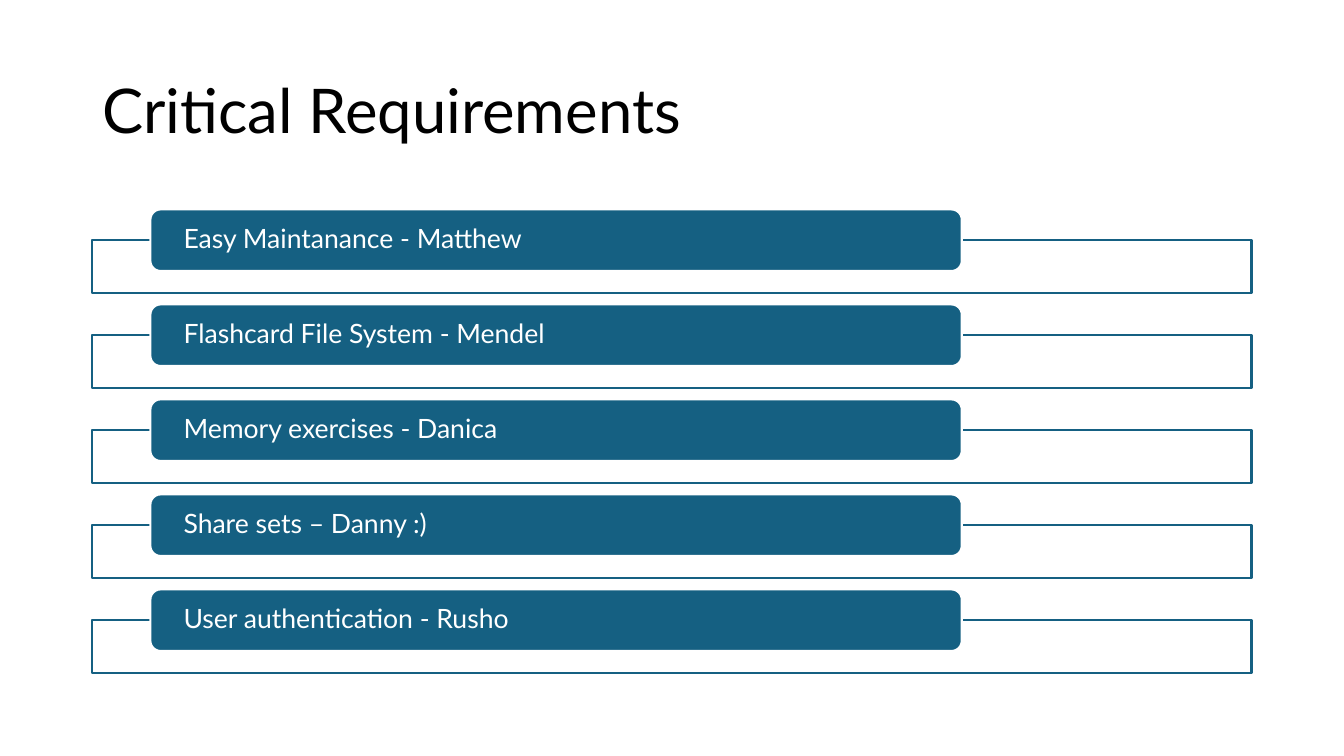
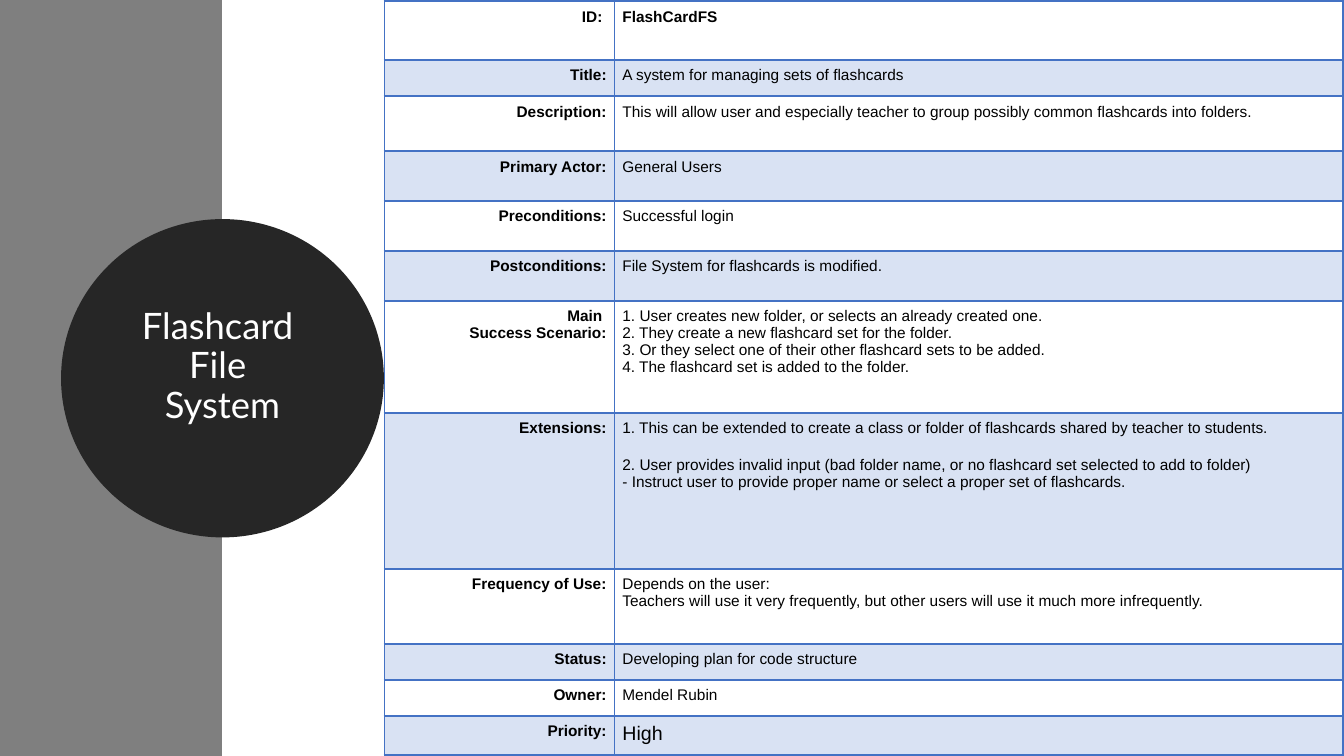
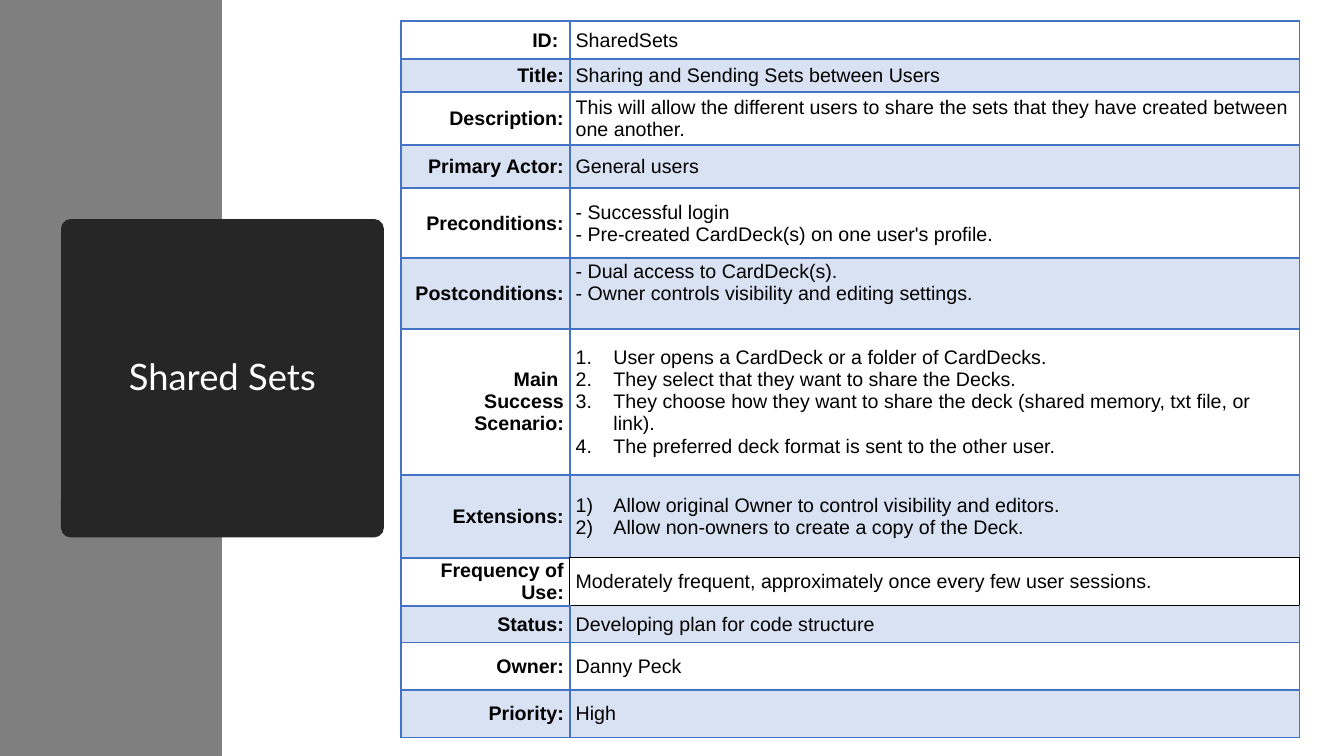
from lxml.etree import SubElement
from pptx import Presentation
from pptx.dml.color import RGBColor
from pptx.enum.shapes import MSO_SHAPE
from pptx.enum.text import MSO_ANCHOR, PP_ALIGN
from pptx.oxml.ns import qn
from pptx.util import Pt

BLACK, WHITE = "000000", "FFFFFF"
TEAL, GRAY, CHARCOAL = "156082", "7F7F7F", "262626"
TABLE_BLUE, TABLE_BAND = "4472C4", "D9E2F3"
HEADING_FONT, TABLE_FONT = "Lato", "Arial"

REQUIREMENTS = [
    "Easy Maintanance - Matthew",
    "Flashcard File System - Mendel",
    "Memory exercises - Danica",
    "Share sets – Danny :)",
    "User authentication - Rusho",
]

# Rows: label, height, paragraphs, options
FILE_SYSTEM = {
    "title": "Flashcard \nFile \nSystem",
    "badge": MSO_SHAPE.OVAL,
    "title_lift": 16,
    "at": (274.6, 1),
    "columns": (164.4, 520.4),
    "size": 11,
    "margins": (5.6, 5, 5.6, 5),
    "anchor": MSO_ANCHOR.TOP,
    "rows": [
        ("ID: ", 41.8, ["FlashCardFS"], {"bold": True}),
        ("Title:", 25.9, ["A system for managing sets of flashcards"], {}),
        ("Description:", 39.4, ["This will allow user and especially teacher to group "
                                "possibly common flashcards into folders."], {}),
        ("Primary Actor:", 35.6, ["General Users"], {}),
        ("Preconditions:", 35.6, ["Successful login"], {}),
        ("Postconditions:", 35.6, ["File System for flashcards is modified."], {}),
        ("Main \nSuccess Scenario:", 80.2, [
            "1. User creates new folder, or selects an already created one.",
            "2. They create a new flashcard set for the folder.",
            "3. Or they select one of their other flashcard sets to be added.",
            "4. The flashcard set is added to the folder."], {}),
        ("Extensions:", 111.4, [
            "1. This can be extended to create a class or folder of flashcards "
            "shared by teacher to students.",
            "2. User provides invalid input (bad folder name, or no flashcard set "
            "selected to add to folder)\n"
            "- Instruct user to provide proper name or select a proper set of flashcards."],
            {"gap": 13.7}),
        ("Frequency of Use:", 53.6, [
            "Depends on the user:",
            "Teachers will use it very frequently, but other users will use it "
            "much more infrequently."], {}),
        ("Status:", 25.8, ["Developing plan for code structure"], {}),
        ("Owner:", 25.8, ["Mendel Rubin"], {}),
        ("Priority:", 28, ["High"], {"size": 14}),
    ],
}

SHARED_SETS = {
    "title": "Shared Sets",
    "badge": MSO_SHAPE.ROUNDED_RECTANGLE,
    "title_lift": 0,
    "at": (286.6, 15.2),
    "columns": (120.4, 521.2),
    "size": 14,
    "margins": (4.2, 0.7, 4.2, 0),
    "anchor": MSO_ANCHOR.MIDDLE,
    "framed_row": 8,
    "rows": [
        ("ID: ", 27, ["SharedSets"], {}),
        ("Title:", 23.4, ["Sharing and Sending Sets between Users"], {}),
        ("Description:", 37.8, ["This will allow the different users to share the sets "
                                "that they have created between one another."], {}),
        ("Primary Actor:", 30.8, ["General users"], {}),
        ("Preconditions:", 50, ["- Successful login",
                                "- Pre-created CardDeck(s) on one user's profile."], {}),
        ("Postconditions:", 50.6, ["- Dual access to CardDeck(s).",
                                   "- Owner controls visibility and editing settings."],
         {"lift": 16}),
        ("Main \nSuccess Scenario:", 104.4, [
            "User opens a CardDeck or a folder of CardDecks.",
            "They select that they want to share the Decks.",
            "They choose how they want to share the deck (shared memory, txt file, or link).",
            "The preferred deck format is sent to the other user."],
            {"numbering": "arabicPeriod"}),
        ("Extensions:", 59.2, ["Allow original Owner to control visibility and editors.",
                               "Allow non-owners to create a copy of the Deck."],
         {"numbering": "arabicParenR"}),
        ("Frequency of Use:", 34.4,
         ["Moderately frequent, approximately once every few user sessions."], {}),
        ("Status:", 26.2, ["Developing plan for code structure"], {}),
        ("Owner:", 33.8, ["Danny Peck"], {}),
        ("Priority:", 34.2, ["High"], {}),
    ],
}


def color(value):
    return RGBColor.from_string(value)


def write(paragraph, text, font, size, text_color, bold=False):
    """Add runs to a paragraph, with a line break at each newline."""
    for index, line in enumerate(text.split("\n")):
        if index:
            paragraph.add_line_break()
        run = paragraph.add_run()
        run.text = line
        run.font.name = font
        run.font.size = Pt(size)
        run.font.bold = bold
        run.font.color.rgb = color(text_color)


def add_box(slide, kind, left, top, width, height, fill, line=None):
    shape = slide.shapes.add_shape(kind, Pt(left), Pt(top), Pt(width), Pt(height))
    shape.shadow.inherit = False
    shape.fill.solid()
    shape.fill.fore_color.rgb = color(fill)
    if line:
        shape.line.color.rgb = color(line)
        shape.line.width = Pt(1.5)
    else:
        shape.line.fill.background()
    return shape


def set_margins(target, left, top, right, bottom):
    target.margin_left, target.margin_top = Pt(left), Pt(top)
    target.margin_right, target.margin_bottom = Pt(right), Pt(bottom)


def write_heading(frame, text, size, text_color, alignment=PP_ALIGN.LEFT):
    frame.word_wrap = True
    frame.vertical_anchor = MSO_ANCHOR.MIDDLE
    paragraph = frame.paragraphs[0]
    paragraph.alignment = alignment
    paragraph.line_spacing = 0.9
    write(paragraph, text, HEADING_FONT, size, text_color)


def number_paragraph(paragraph, scheme):
    properties = paragraph._p.get_or_add_pPr()
    indent = Pt(27)
    properties.set("marL", str(indent))
    properties.set("indent", str(-indent))
    SubElement(properties, qn("a:buFont"), typeface="+mj-lt")
    SubElement(properties, qn("a:buAutoNum"), type=scheme)


def add_borders(cell, black_sides):
    properties = cell._tc.get_or_add_tcPr()
    for side in "LRTB":
        black = side in black_sides
        line = SubElement(properties, qn(f"a:ln{side}"), w=str(Pt(1 if black else 1.5)))
        fill = SubElement(line, qn("a:solidFill"))
        SubElement(fill, qn("a:srgbClr"), val=BLACK if black else TABLE_BLUE)


def find_black_sides(row, column, framed_row):
    """Sides touching the black frame around the value cell of framed_row."""
    if framed_row is None:
        return ""
    if column == 0:
        return "R" if row == framed_row else ""
    return {-1: "B", 0: "LRTB", 1: "T"}.get(row - framed_row, "")


def fill_cell(cell, paragraphs, case, options, alignment, bold):
    left, top, right, bottom = case["margins"]
    set_margins(cell, left, top, right, bottom + options.get("lift", 0))
    cell.vertical_anchor = case["anchor"]
    frame = cell.text_frame
    for index, text in enumerate(paragraphs):
        paragraph = frame.add_paragraph() if index else frame.paragraphs[0]
        paragraph.alignment = alignment
        if index and "gap" in options:
            paragraph.space_before = Pt(options["gap"])
        if "numbering" in options:
            number_paragraph(paragraph, options["numbering"])
        write(paragraph, text, TABLE_FONT, options.get("size", case["size"]), BLACK, bold)


def add_use_case_table(slide, case):
    rows, columns = case["rows"], case["columns"]
    left, top = case["at"]
    table = slide.shapes.add_table(
        len(rows), len(columns), Pt(left), Pt(top),
        Pt(sum(columns)), Pt(sum(row[1] for row in rows))).table
    table.first_row = table.horz_banding = False
    for column, width in zip(table.columns, columns):
        column.width = Pt(width)
    for row, (label, height, paragraphs, options) in enumerate(rows):
        table.rows[row].height = Pt(height)
        fill_cell(table.cell(row, 0), [label], case, {}, PP_ALIGN.RIGHT, True)
        fill_cell(table.cell(row, 1), paragraphs, case, options, PP_ALIGN.LEFT,
                  options.get("bold", False))
        for column in range(len(columns)):
            cell = table.cell(row, column)
            add_borders(cell, find_black_sides(row, column, case.get("framed_row")))
            cell.fill.solid()
            cell.fill.fore_color.rgb = color(TABLE_BAND if row % 2 else WHITE)


def add_use_case_slide(presentation, case):
    slide = add_blank_slide(presentation)
    add_use_case_table(slide, case)
    add_box(slide, MSO_SHAPE.RECTANGLE, 0, 0, 158.6, 540, GRAY)
    badge = add_box(slide, case["badge"], 43.6, 156.5, 230.6, 227.4, CHARCOAL)
    if case["badge"] == MSO_SHAPE.ROUNDED_RECTANGLE:
        badge.adjustments[0] = 0.03
    set_margins(badge.text_frame, 7.2, 3.6, 7.2, 3.6 + case["title_lift"])
    write_heading(badge.text_frame, case["title"], 26, WHITE, PP_ALIGN.CENTER)


def add_requirements_slide(presentation):
    slide = add_blank_slide(presentation)
    left, width = 66, 828
    title = slide.shapes.add_textbox(Pt(left), Pt(28.8), Pt(width), Pt(104.4))
    write_heading(title.text_frame, "Critical Requirements", 44, BLACK)
    first_top, pitch = 149.6, 67.86
    for index, text in enumerate(REQUIREMENTS):
        top = first_top + index * pitch
        add_box(slide, MSO_SHAPE.RECTANGLE, left, top + 21.8, width, 37.8, WHITE, TEAL)
        tab = add_box(slide, MSO_SHAPE.ROUNDED_RECTANGLE, left + 41.4, top, 579.6, 44,
                      TEAL, WHITE)
        set_margins(tab.text_frame, 21.6, 0, 21.6, 0)
        write_heading(tab.text_frame, text, 19, WHITE)


def add_blank_slide(presentation):
    return presentation.slides.add_slide(presentation.slide_layouts[6])


def main():
    presentation = Presentation()
    presentation.slide_width, presentation.slide_height = Pt(960), Pt(540)
    add_requirements_slide(presentation)
    for case in (FILE_SYSTEM, SHARED_SETS):
        add_use_case_slide(presentation, case)
    presentation.save("out.pptx")


if __name__ == "__main__":
    main()
